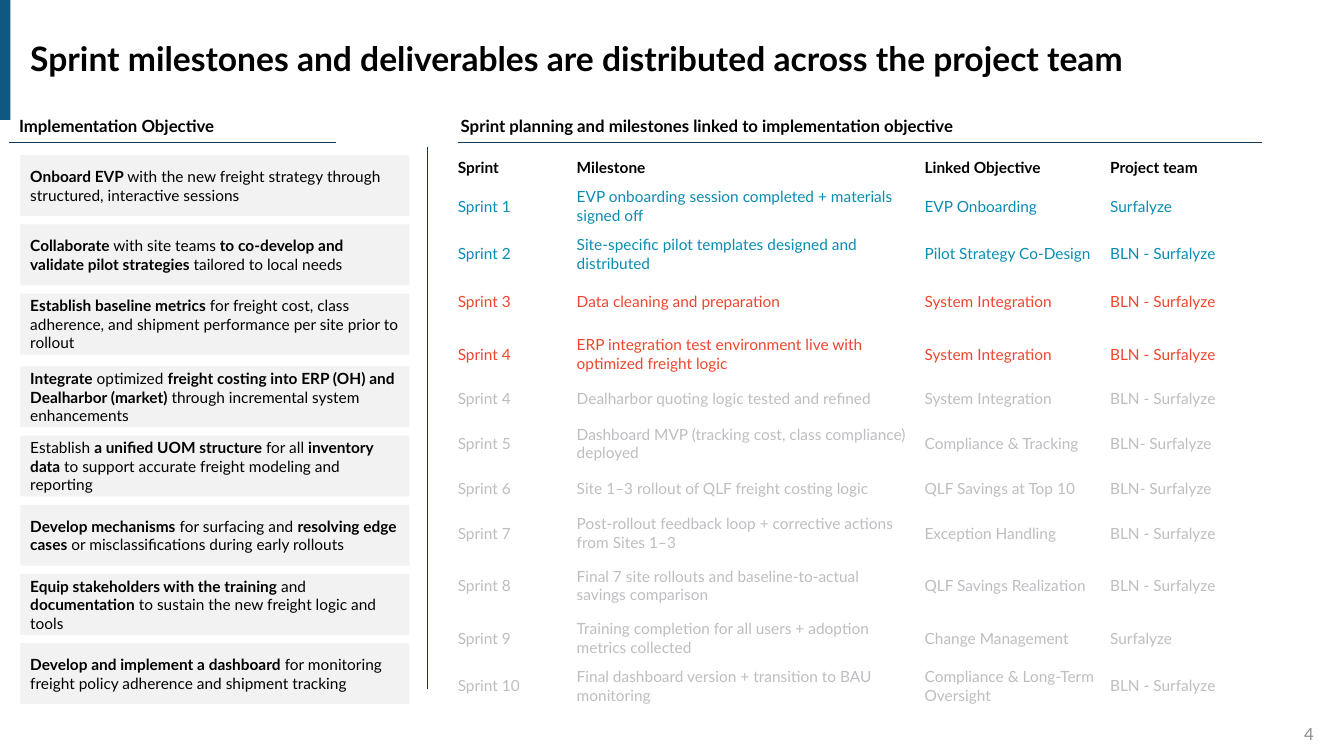
from lxml import etree
from pptx import Presentation
from pptx.dml.color import RGBColor
from pptx.enum.shapes import MSO_CONNECTOR, MSO_SHAPE
from pptx.enum.text import MSO_ANCHOR, MSO_AUTO_SIZE, PP_ALIGN
from pptx.oxml.ns import qn
from pptx.util import Pt

RECTANGLE = MSO_SHAPE.RECTANGLE
STRAIGHT = MSO_CONNECTOR.STRAIGHT
MIDDLE = MSO_ANCHOR.MIDDLE
NO_FIT = MSO_AUTO_SIZE.NONE
LEFT, RIGHT = PP_ALIGN.LEFT, PP_ALIGN.RIGHT

BLACK = RGBColor(0x00, 0x00, 0x00)
ACCENT = RGBColor(0x10, 0x57, 0x82)
NAVY = RGBColor(0x10, 0x39, 0x59)
PALE = RGBColor(0xF2, 0xF2, 0xF2)
PAGE_GRAY = RGBColor(0x8C, 0x8C, 0x8C)
DONE = RGBColor(0x0B, 0x8C, 0xB2)
ACTIVE = RGBColor(0xEF, 0x46, 0x2F)
PLANNED = RGBColor(0xBD, 0xBE, 0xC1)
FONT = "Lato"

OBJECTIVES = [
    "**Onboard EVP **with the new freight strategy through structured, interactive sessions",
    "**Collaborate** with site teams** to co-develop and validate pilot strategies **tailored to local needs",
    "**Establish baseline metrics **for freight cost, class adherence, and shipment performance per site prior to rollout",
    "**Integrate** optimized **freight costing into ERP (OH) and Dealharbor (market) **through incremental system enhancements",
    "Establish **a unified UOM structure **for all **inventory data **to support accurate freight modeling and reporting",
    "**Develop mechanisms** for surfacing and **resolving edge cases** or misclassifications during early rollouts",
    "**Equip stakeholders with the training **and **documentation** to sustain the new freight logic and tools",
    "**Develop and implement a dashboard **for monitoring freight policy adherence and shipment tracking",
]

COLUMN_WIDTHS = [85, 248.5, 132.5, 132.5]
HEADINGS = ["Sprint", "Milestone", "Linked Objective", "Project team"]
SPRINTS = [
    (37.5, DONE, ["Sprint 1", "EVP onboarding session completed + materials signed off",
                  "EVP Onboarding", "Surfalyze"]),
    (28, DONE, ["Sprint 2", "Site-specific pilot templates designed and distributed",
                "Pilot Strategy Co-Design", "BLN - Surfalyze"]),
    (37.5, ACTIVE, ["Sprint 3", "Data cleaning and preparation",
                    "System Integration", "BLN - Surfalyze"]),
    (37.5, ACTIVE, ["Sprint 4", "ERP integration test environment live with optimized freight logic",
                    "System Integration", "BLN - Surfalyze"]),
    (26.5, PLANNED, ["Sprint 4", "Dealharbor quoting logic tested and refined",
                     "System Integration", "BLN - Surfalyze"]),
    (37.5, PLANNED, ["Sprint 5", "Dashboard MVP (tracking cost, class compliance) deployed",
                     "Compliance & Tracking", "BLN- Surfalyze"]),
    (26.5, PLANNED, ["Sprint 6", "Site 1–3 rollout of QLF freight costing logic",
                     "QLF Savings at Top 10", "BLN- Surfalyze"]),
    (37.5, PLANNED, ["Sprint 7", "Post-rollout feedback loop + corrective actions from Sites 1–3",
                     "Exception Handling", "BLN - Surfalyze"]),
    (37.5, PLANNED, ["Sprint 8", "Final 7 site rollouts and baseline-to-actual savings comparison",
                     "QLF Savings Realization", "BLN - Surfalyze"]),
    (37.5, PLANNED, ["Sprint 9", "Training completion for all users + adoption metrics collected",
                     "Change Management", "Surfalyze"]),
    (29.5, PLANNED, ["Sprint 10", "Final dashboard version + transition to BAU monitoring",
                     "Compliance & Long-Term Oversight", "BLN - Surfalyze"]),
]


def write_text(frame, text, size=11, color=BLACK, bold=False, align=LEFT, spacing=1.0):
    frame.word_wrap = True
    paragraph = frame.paragraphs[0]
    paragraph.alignment = align
    paragraph.line_spacing = spacing
    for index, part in enumerate(text.split("**")):
        if part:
            run = paragraph.add_run()
            run.text = part
            run.font.name = FONT
            run.font.size = Pt(size)
            run.font.bold = bold or index % 2 == 1
            run.font.color.rgb = color


def add_label(slide, box, text, **text_format):
    frame = slide.shapes.add_textbox(*map(Pt, box)).text_frame
    frame.vertical_anchor = MIDDLE
    write_text(frame, text, **text_format)


def add_bar(slide, box, color):
    bar = slide.shapes.add_shape(RECTANGLE, *map(Pt, box))
    bar.shadow.inherit = False
    bar.fill.solid()
    bar.fill.fore_color.rgb = color
    bar.line.fill.background()
    return bar


def add_rule(slide, x1, y1, x2, y2):
    rule = slide.shapes.add_connector(STRAIGHT, Pt(x1), Pt(y1), Pt(x2), Pt(y2))
    rule.line.color.rgb = NAVY
    rule.line.width = Pt(0.5)
    etree.SubElement(rule._element.spPr, qn("a:effectLst"))


def add_header(slide, left, top, width, height):
    add_bar(slide, (left, top, 7.5, height), ACCENT)
    title = slide.shapes.title
    title.left, title.top = Pt(left + 14.4), Pt(top + 3.5)
    title.width, title.height = Pt(width), Pt(80)
    title.text_frame.auto_size = NO_FIT
    title.text_frame.vertical_anchor = MIDDLE
    write_text(title.text_frame,
               "Sprint milestones and deliverables are distributed across the project team",
               size=24, bold=True, spacing=0.9)


def add_objectives(slide, left, top, width, height):
    add_label(slide, (left, top, 254, 21.5), "Implementation Objective", size=12, bold=True)
    add_rule(slide, left, top + 22.5, left + 233.5, top + 22.5)
    bar_height, group_gap, upper_group = 43.5, 2.5, 3
    first = top + 31.7
    pitch = (top + height - bar_height - group_gap - first) / (len(OBJECTIVES) - 1)
    for index, objective in enumerate(OBJECTIVES):
        bar_top = first + index * pitch + (group_gap if index >= upper_group else 0)
        bar = add_bar(slide, (left + 8, bar_top, width - 8, bar_height), PALE)
        frame = bar.text_frame
        frame.margin_top = frame.margin_bottom = 0
        frame.vertical_anchor = MIDDLE
        write_text(frame, objective)


def add_sprint_plan(slide, left, top, width, height):
    add_label(slide, (left, top, 414, 21), size=12, bold=True,
              text="Sprint planning and milestones linked to implementation objective")
    add_rule(slide, left + 5, top + 22.5, left + 579.5, top + 22.5)
    rows = [(17.5, BLACK, HEADINGS)] + SPRINTS
    plan = slide.shapes.add_table(len(rows), len(HEADINGS), Pt(left), Pt(top + 31.7),
                                  Pt(width), Pt(height - 31.7)).table
    plan.first_row = plan.horz_banding = False
    for column, column_width in zip(plan.columns, COLUMN_WIDTHS):
        column.width = Pt(column_width)
    for row, (row_height, color, texts) in zip(plan.rows, rows):
        row.height = Pt(row_height)
        for cell, text in zip(row.cells, texts):
            cell.fill.background()
            cell.vertical_anchor = MIDDLE
            cell.margin_left = cell.margin_right = Pt(5)
            cell.margin_top = cell.margin_bottom = Pt(2.2)
            write_text(cell.text_frame, text, color=color, bold=texts is HEADINGS)


def main():
    deck = Presentation()
    deck.slide_width, deck.slide_height = Pt(960), Pt(540)
    slide = deck.slides.add_slide(deck.slide_layouts[5])
    add_header(slide, 0, 0, 825, 85.7)
    add_objectives(slide, 6.5, 79.2, 286, 423.7)
    add_rule(slide, 305.3, 105, 305.3, 492)
    add_sprint_plan(slide, 322, 79.2, sum(COLUMN_WIDTHS), 428)
    add_label(slide, (878.5, 513.5, 67, 22), "4", size=12, color=PAGE_GRAY, align=RIGHT)
    deck.save("out.pptx")


if __name__ == "__main__":
    main()
